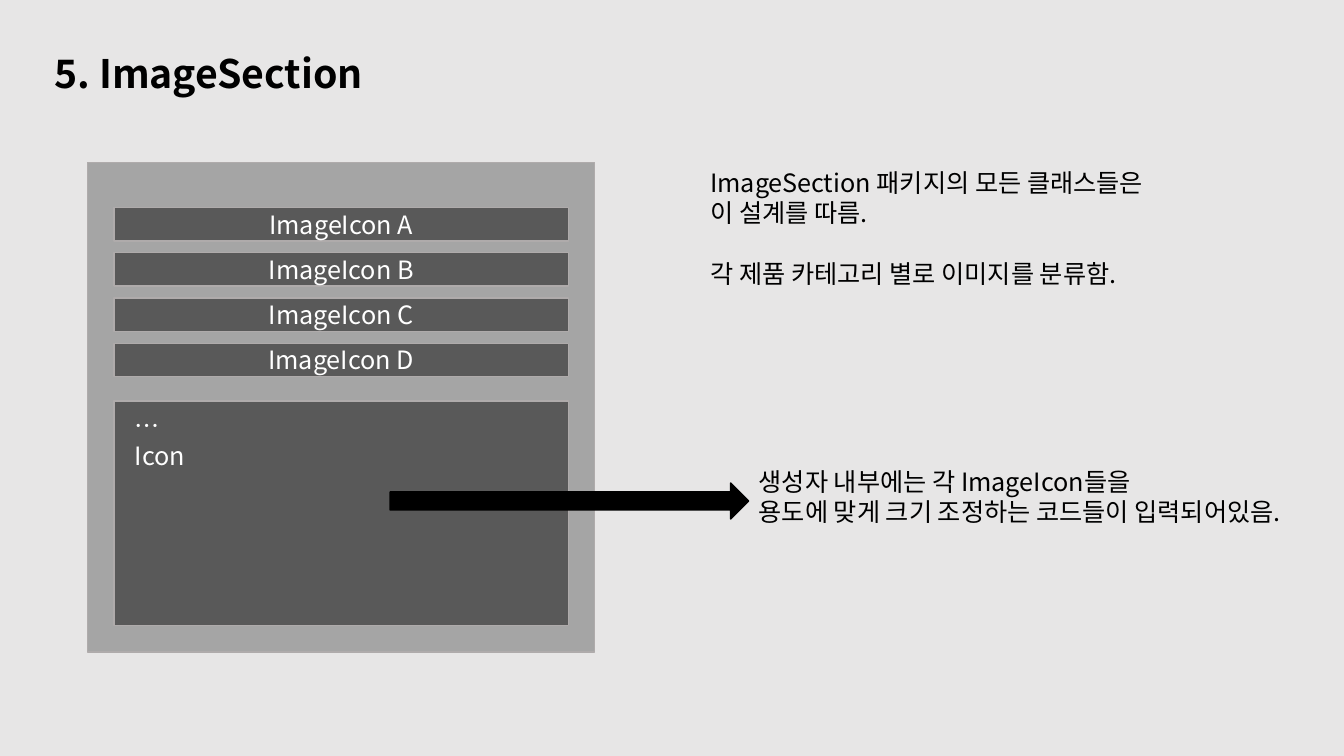
import pptx
import pptx.util
import pptx.dml.color
import pptx.enum.shapes
import pptx.enum.text
import pptx.oxml.ns
import lxml.etree

Cm = pptx.util.Cm
Pt = pptx.util.Pt
RGBColor = pptx.dml.color.RGBColor
SHAPE = pptx.enum.shapes.MSO_SHAPE
ALIGN = pptx.enum.text.PP_ALIGN
ANCHOR = pptx.enum.text.MSO_ANCHOR

FONT = "Noto Sans CJK KR"
PAPER = RGBColor(0xE7, 0xE6, 0xE6)
PANEL = RGBColor(0xA5, 0xA5, 0xA5)
BAR = RGBColor(0x59, 0x59, 0x59)
EDGE = RGBColor(0xAF, 0xAB, 0xAB)
BLACK = RGBColor(0, 0, 0)
WHITE = RGBColor(0xFF, 0xFF, 0xFF)
LINE_PITCH = Pt(21.6)


def add_text(para, text, color, size=18, bold=False):
    span = para.add_run()
    span.text = text
    span.font.name = FONT
    span.font.size = Pt(size)
    span.font.bold = bold
    span.font.color.rgb = color
    # Hangul takes its typeface from the East Asian slot
    properties = span.font._element
    latin = properties.find(pptx.oxml.ns.qn("a:latin"))
    east_asian = lxml.etree.Element(pptx.oxml.ns.qn("a:ea"), typeface=FONT)
    latin.addnext(east_asian)


def add_block(page, kind, left, top, width, height, fill, edge):
    block = page.shapes.add_shape(kind, Cm(left), Cm(top), Cm(width), Cm(height))
    block.shadow.inherit = False
    block.fill.solid()
    block.fill.fore_color.rgb = fill
    block.line.color.rgb = edge
    block.line.width = Pt(1)
    return block


def add_note(page, left, top, width, height, lines, color, gap_before=()):
    """Left-aligned lines; those numbered in gap_before follow one line's gap."""
    box = page.shapes.add_textbox(Cm(left), Cm(top), Cm(width), Cm(height))
    frame = box.text_frame
    frame.word_wrap = True
    for number, line in enumerate(lines):
        para = frame.paragraphs[0] if number == 0 else frame.add_paragraph()
        para.line_spacing = LINE_PITCH
        if number in gap_before:
            para.space_before = LINE_PITCH
        add_text(para, line, color)


def fill_title(page, left, top, width, height, text):
    title = page.shapes.title
    title.left, title.top = Cm(left), Cm(top)
    title.width, title.height = Cm(width), Cm(height)
    frame = title.text_frame
    frame.word_wrap = False
    frame.vertical_anchor = ANCHOR.MIDDLE
    para = frame.paragraphs[0]
    para.alignment = ALIGN.LEFT
    add_text(para, text, BLACK, size=28, bold=True)


def draw_class_panel(page, left, top, width, height):
    inset = 0.66
    bar_left, bar_width = left + inset, width - 2 * inset
    bar_pitch, bar_height = 1.14, 0.84
    add_block(page, SHAPE.RECTANGLE, left, top, width, height, PANEL, EDGE)

    # One bar for each icon field
    for row, letter in enumerate("ABCD"):
        bar = add_block(page, SHAPE.RECTANGLE, bar_left, top + (row + 1) * bar_pitch,
                        bar_width, bar_height, BAR, EDGE)
        bar.text_frame.vertical_anchor = ANCHOR.MIDDLE
        para = bar.text_frame.paragraphs[0]
        para.alignment = ALIGN.CENTER
        add_text(para, f"ImageIcon {letter}", WHITE)

    # Constructor body
    body_top = top + 6.02
    add_block(page, SHAPE.RECTANGLE, bar_left, body_top, bar_width,
              height - 6.02 - inset, BAR, EDGE)
    add_note(page, bar_left + 0.28, body_top + 0.1, 2.2, 1.8, ["…", "Icon"], WHITE)


def draw_remarks(page, left, top, width):
    add_note(page, left, top, width, 3.33,
             ["ImageSection 패키지의 모든 클래스들은", "이 설계를 따름.",
              "각 제품 카테고리 별로 이미지를 분류함."], BLACK, gap_before=(2,))


def draw_constructor_callout(page, left, top, arrow_width, note_width):
    add_block(page, SHAPE.RIGHT_ARROW, left, top + 0.54, arrow_width, 0.91, BLACK, BLACK)
    add_note(page, left + arrow_width, top, note_width, 1.8,
             ["생성자 내부에는 각 ImageIcon들을",
              "용도에 맞게 크기 조정하는 코드들이 입력되어있음."], BLACK)


def main():
    deck = pptx.Presentation()
    deck.slide_width, deck.slide_height = Cm(33.87), Cm(19.05)
    page = deck.slides.add_slide(deck.slide_layouts[5])
    page.background.fill.solid()
    page.background.fill.fore_color.rgb = PAPER

    fill_title(page, 1.12, 1.12, 8.48, 1.45, "5. ImageSection")
    draw_class_panel(page, 2.21, 4.09, 12.78, 12.34)
    draw_remarks(page, 17.65, 4.09, 12.2)
    draw_constructor_callout(page, 9.83, 11.63, 9.04, 14.8)
    deck.save("out.pptx")


if __name__ == "__main__":
    main()
